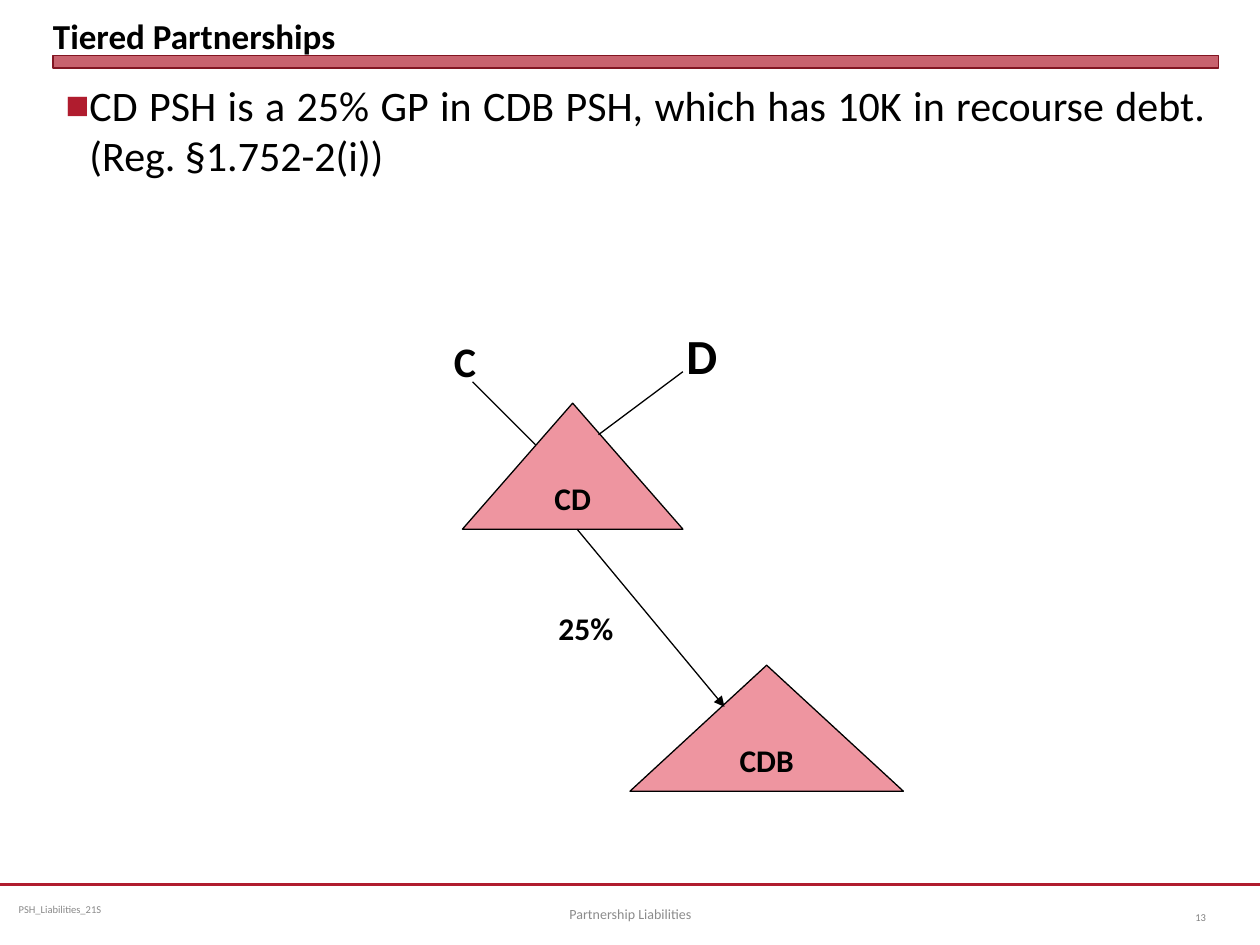
from lxml.etree import SubElement
from pptx import Presentation
from pptx.dml.color import RGBColor
from pptx.enum.shapes import MSO_CONNECTOR, MSO_SHAPE
from pptx.enum.text import MSO_ANCHOR, MSO_AUTO_SIZE, PP_ALIGN
from pptx.oxml.ns import qn
from pptx.util import Inches, Pt


def color(hex_value):
    """Turn a hex string into a colour."""
    return RGBColor.from_string(hex_value)


class SlideBuilder:
    """Hold the style and the current slide."""

    font = "Calibri"
    ink = "000000"
    crimson = "B01C2E"
    pink = "EE95A0"

    def __init__(self, slide):
        """Start on the given slide."""
        self.slide = slide

    def place(self, shape, box):
        """Move and size a shape."""
        shape.left, shape.top, shape.width, shape.height = map(Inches, box)

    def set_text(self, shape, text, size, hex_value=ink, bold=False,
                 align=PP_ALIGN.CENTER, anchor=MSO_ANCHOR.MIDDLE, wrap=True):
        """Fill a shape with one formatted paragraph."""
        frame = shape.text_frame
        frame.text = text
        frame.auto_size = MSO_AUTO_SIZE.NONE
        frame.word_wrap = wrap
        frame.vertical_anchor = anchor
        paragraph = frame.paragraphs[0]
        paragraph.alignment = align
        for run in paragraph.runs:
            run.font.name = self.font
            run.font.size = Pt(size)
            run.font.bold = bold
            run.font.color.rgb = color(hex_value)
        return paragraph

    def title(self, text, box):
        """Fill the title placeholder."""
        shape = self.slide.shapes.title
        self.place(shape, box)
        self.set_text(shape, text, 20, bold=True, align=PP_ALIGN.LEFT, anchor=MSO_ANCHOR.BOTTOM)
        frame = shape.text_frame
        frame.margin_left = frame.margin_right = frame.margin_top = frame.margin_bottom = 0

    def body(self, text, box):
        """Fill the body placeholder with a square bullet."""
        shape = self.slide.placeholders[1]
        self.place(shape, box)
        paragraph = self.set_text(shape, text, 24, align=PP_ALIGN.JUSTIFY, anchor=MSO_ANCHOR.TOP)
        properties = paragraph._p.get_or_add_pPr()
        properties.set("marL", str(Inches(0.19)))
        properties.set("indent", str(-Inches(0.19)))
        bullet_color = SubElement(properties, qn("a:buClr"))
        SubElement(bullet_color, qn("a:srgbClr"), val=self.crimson)
        SubElement(properties, qn("a:buSzPct"), val="60000")
        SubElement(properties, qn("a:buFont"), typeface=self.font)
        SubElement(properties, qn("a:buChar"), char="■")

    def label(self, text, box, size, **style):
        """Add a text box."""
        shape = self.slide.shapes.add_textbox(*map(Inches, box))
        self.set_text(shape, text, size, **style)

    def shape(self, kind, box, fill, line, width):
        """Add a filled and outlined preset shape."""
        shape = self.slide.shapes.add_shape(kind, *map(Inches, box))
        shape.shadow.inherit = False
        shape.fill.solid()
        shape.fill.fore_color.rgb = color(fill)
        shape.line.color.rgb = color(line)
        shape.line.width = Pt(width)
        return shape

    def bar(self, box):
        """Add the translucent bar under the title."""
        shape = self.shape(MSO_SHAPE.RECTANGLE, box, self.crimson, "821522", 0)
        fill_color = shape._element.spPr.find(qn("a:solidFill")).find(qn("a:srgbClr"))
        SubElement(fill_color, qn("a:alpha"), val="69000")

    def partnership(self, text, box):
        """Add a partnership triangle with its name."""
        shape = self.shape(MSO_SHAPE.ISOSCELES_TRIANGLE, box, self.pink, self.ink, 0.75)
        self.set_text(shape, text, 18, bold=True, wrap=False)

    def line(self, start, end, hex_value=ink, width=0.75, arrow=False):
        """Add a straight line, with an arrowhead at its end if asked."""
        connector = self.slide.shapes.add_connector(
            MSO_CONNECTOR.STRAIGHT, *map(Inches, start + end))
        connector.line.color.rgb = color(hex_value)
        connector.line.width = Pt(width)
        properties = connector._element.spPr
        if arrow:
            SubElement(properties.find(qn("a:ln")), qn("a:tailEnd"), type="triangle")
        SubElement(properties, qn("a:effectLst"))


def main():
    """Build and save the slide."""
    presentation = Presentation()
    presentation.slide_width = Inches(10)
    presentation.slide_height = Inches(7.5)
    builder = SlideBuilder(presentation.slides.add_slide(presentation.slide_layouts[1]))

    builder.title("Tiered Partnerships", (0.42, 0.05, 9.25, 0.4))
    builder.bar((0.42, 0.44, 9.25, 0.1))
    builder.body("CD PSH is a 25% GP in CDB PSH, which has 10K in recourse debt. "
                 "(Reg. §1.752-2(i))", (0.42, 0.58, 9.25, 6.36))

    builder.partnership("CD", (3.67, 3.2, 1.75, 1))
    builder.partnership("CDB", (5, 5.28, 2.17, 1))
    builder.line((4.58, 4.2), (5.75, 5.61), arrow=True)
    builder.line((3.75, 3.03), (4.25, 3.53))
    builder.line((5.42, 2.95), (4.75, 3.45))
    builder.label("25%", (4.3, 4.78, 0.7, 0.4), 18, bold=True)
    builder.label("C", (3.33, 2.61, 0.72, 0.5), 24, bold=True)
    builder.label("D", (5.33, 2.53, 0.48, 0.57), 28, bold=True)

    builder.line((0, 7.02), (10, 7.02), builder.crimson, 1.25)
    builder.label("PSH_Liabilities_21S", (0.05, 7.02, 2.61, 0.4), 6,
                  hex_value="898989", align=PP_ALIGN.LEFT)
    builder.label("Partnership Liabilities", (3.42, 7.05, 3.17, 0.4), 8, hex_value="8C8C8C")
    builder.label("13", (9.17, 7.08, 0.5, 0.4), 6, hex_value="808080", align=PP_ALIGN.RIGHT)

    presentation.save("out.pptx")


if __name__ == "__main__":
    main()
